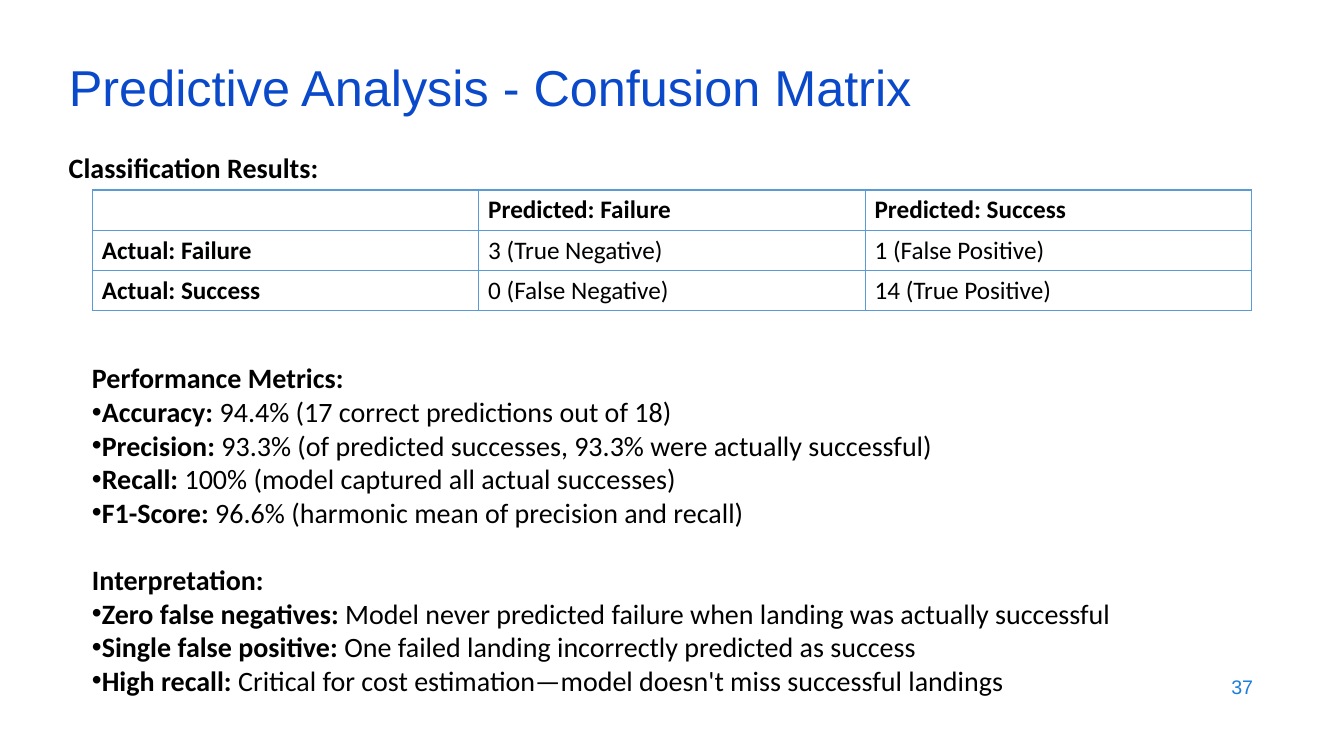
from collections import namedtuple

from lxml import etree
from pptx import Presentation
from pptx.dml.color import RGBColor
from pptx.enum.text import MSO_ANCHOR, MSO_AUTO_SIZE, PP_ALIGN
from pptx.oxml.ns import qn
from pptx.util import Pt

PX = 9525  # EMU per px, 96 px to the inch
LEFT, RIGHT = PP_ALIGN.LEFT, PP_ALIGN.RIGHT
TOP, MIDDLE = MSO_ANCHOR.TOP, MSO_ANCHOR.MIDDLE
NO_AUTOFIT = MSO_AUTO_SIZE.NONE

BLACK, TITLE_BLUE, NUMBER_BLUE, BORDER_BLUE = "000000", "0B49CB", "1C7DDB", "5B9BD5"

Box = namedtuple("Box", "left top width height")

MATRIX = [
    ["", "Predicted: Failure", "Predicted: Success"],
    ["Actual: Failure", "3 (True Negative)", "1 (False Positive)"],
    ["Actual: Success", "0 (False Negative)", "14 (True Positive)"],
]
FINDINGS = [
    ("Performance Metrics:", [
        ("Accuracy:", " 94.4% (17 correct predictions out of 18)"),
        ("Precision:", " 93.3% (of predicted successes, 93.3% were actually successful)"),
        ("Recall:", " 100% (model captured all actual successes)"),
        ("F1-Score:", " 96.6% (harmonic mean of precision and recall)"),
    ]),
    ("Interpretation:", [
        ("Zero false negatives:", " Model never predicted failure when landing was actually successful"),
        ("Single false positive:", " One failed landing incorrectly predicted as success"),
        ("High recall:", " Critical for cost estimation—model doesn't miss successful landings"),
    ]),
]


def px_box(left, top, width, height):
    return Box(left * PX, top * PX, width * PX, height * PX)


def color(hex_string):
    return RGBColor.from_string(hex_string)


def add_span(para, text, size, hex_string=BLACK, bold=False, name="Calibri"):
    span = para.add_run()
    span.text = text
    span.font.name = name
    span.font.size = Pt(size)
    span.font.bold = bold
    span.font.color.rgb = color(hex_string)


def place(shape, box, anchor):
    """Move a text shape into the box and return its emptied frame."""
    shape.left, shape.top, shape.width, shape.height = box
    frame = shape.text_frame
    frame.word_wrap = True
    frame.auto_size = NO_AUTOFIT
    frame.vertical_anchor = anchor
    return frame


def set_bullet(para, char=None):
    properties = para._p.get_or_add_pPr()
    properties.set("marL", "0")
    properties.set("indent", "0")
    if char:
        etree.SubElement(properties, qn("a:buChar"), char=char)
    else:
        etree.SubElement(properties, qn("a:buNone"))


def add_title(page, box):
    para = place(page.shapes.title, box, MIDDLE).paragraphs[0]
    para.alignment = LEFT
    para.line_spacing = 0.9
    add_span(para, "Predictive Analysis - Confusion Matrix", 36, TITLE_BLUE, name="Arial")


def add_label(page, box, text, anchor=TOP, alignment=LEFT, **style):
    para = place(page.shapes.add_textbox(*box), box, anchor).paragraphs[0]
    para.alignment = alignment
    add_span(para, text, **style)


def draw_borders(cell):
    properties = cell._tc.get_or_add_tcPr()
    for index, side in enumerate(("lnL", "lnR", "lnT", "lnB")):
        line = etree.Element(qn(f"a:{side}"), w=str(Pt(1)))
        fill = etree.SubElement(line, qn("a:solidFill"))
        etree.SubElement(fill, qn("a:srgbClr"), val=BORDER_BLUE)
        properties.insert(index, line)


def add_matrix(page, box):
    rows, columns = len(MATRIX), len(MATRIX[0])
    table = page.shapes.add_table(rows, columns, *box).table
    table.first_row = False
    table.horz_banding = False
    for row, texts in enumerate(MATRIX):
        for column, text in enumerate(texts):
            cell = table.cell(row, column)
            cell.fill.background()
            cell.vertical_anchor = MIDDLE
            cell.margin_left = cell.margin_right = 9 * PX
            cell.margin_top = cell.margin_bottom = 4 * PX
            draw_borders(cell)
            if text:
                is_header = row == 0 or column == 0
                add_span(cell.text_frame.paragraphs[0], text, 18, bold=is_header)


def add_findings(page, box):
    frame = place(page.placeholders[1], box, TOP)
    for index, (heading, points) in enumerate(FINDINGS):
        para = frame.add_paragraph() if index else frame.paragraphs[0]
        set_bullet(para)
        para.space_before = Pt(24 if index else 0)
        add_span(para, heading, 20, bold=True)
        for term, explanation in points:
            para = frame.add_paragraph()
            set_bullet(para, "•")
            para.space_before = Pt(0)
            add_span(para, term, 20, bold=True)
            add_span(para, explanation, 20)


def main():
    deck = Presentation()
    deck.slide_width, deck.slide_height = 1280 * PX, 720 * PX
    page = deck.slides.add_slide(deck.slide_layouts[1])
    add_title(page, px_box(56, 57, 1168, 58))
    add_label(page, px_box(56, 139, 640, 42), "Classification Results:", size=20, bold=True)
    add_matrix(page, px_box(88, 181, 1104, 115))
    add_findings(page, px_box(78, 339, 1067, 333))
    add_label(page, px_box(915, 633, 288, 42), "37", MIDDLE, RIGHT,
              size=14, hex_string=NUMBER_BLUE, name="Arial")
    deck.save("out.pptx")


if __name__ == "__main__":
    main()
